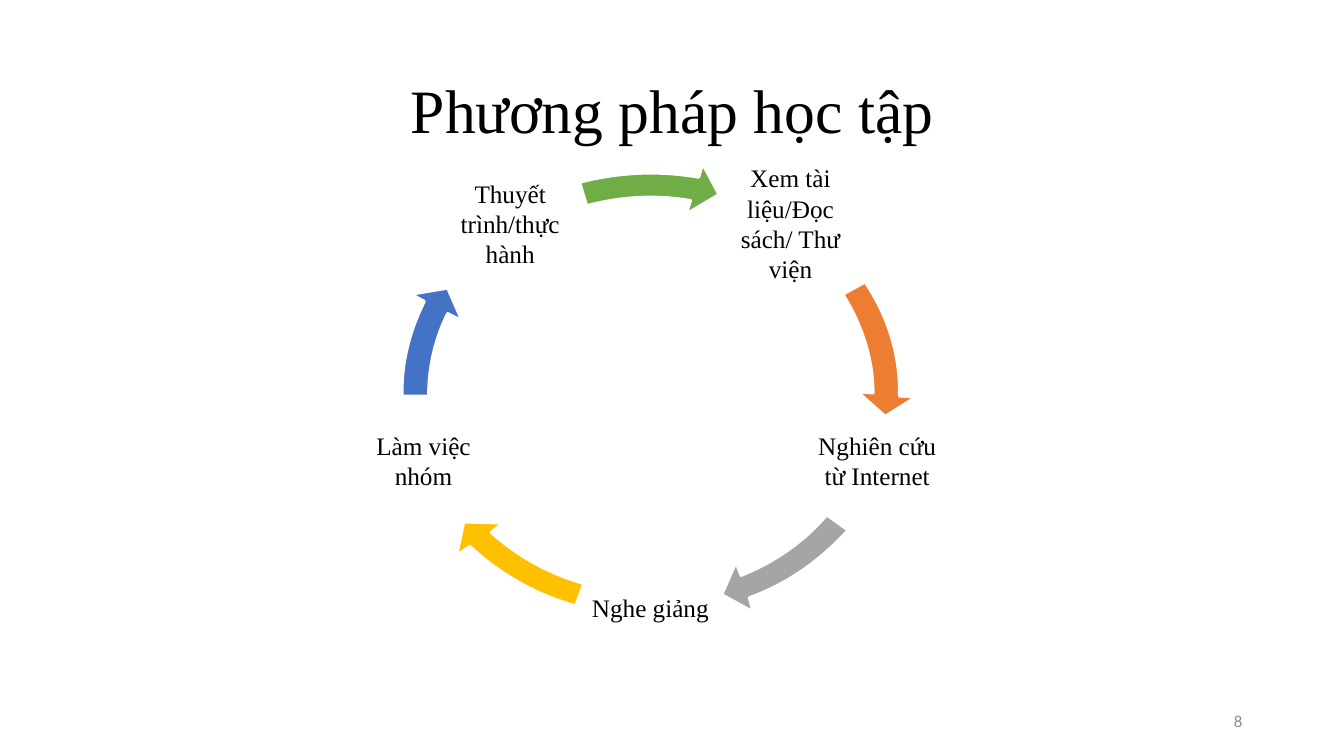
from dataclasses import dataclass

from lxml.etree import SubElement
from pptx import Presentation
from pptx.dml.color import RGBColor
from pptx.enum.text import MSO_ANCHOR as Anchor, PP_ALIGN as Align
from pptx.oxml.ns import qn
from pptx.util import Pt

PX = 9144  # EMU per px, 100 px to the inch
SLIDE_SIZE = (1333, 750)


@dataclass(frozen=True)
class Theme:
    serif: str = "Times New Roman"
    sans: str = "Calibri"
    ink: str = "000000"
    muted: str = "8C8C8C"
    paper: str = "FFFFFF"
    title_pt: int = 44
    step_pt: int = 18
    number_pt: int = 12
    outline_pt: int = 2


THEME = Theme()

TITLE = ("Phương pháp học tập", (92, 40, 1150, 145))
PAGE_NUMBER = ("8", (942, 695, 300, 40))

STEP_SIZE = (142, 127)
STEPS = [  # text, left, top
    ("Xem tài liệu/Đọc sách/ Thư viện", 713, 158),
    ("Nghiên cứu từ Internet", 799, 393),
    ("Nghe giảng", 574, 539),
    ("Làm việc nhóm", 349, 393),
    ("Thuyết trình/thực hành", 435, 158),
]

RING = (383, 158, 525, 467)  # left, top, width, height shared by all arrows
ARROWS = [  # colour, outer curve, head (barb, tip, barb), inner curve
    ("ED7D31", [(858, 280), (881, 314), (893, 353), (892, 393)],
     [(908, 394), (878, 413), (851, 389)],
     [(866, 390), (866, 356), (855, 322), (836, 292)]),
    ("A5A5A5", [(841, 526), (815, 555), (782, 579), (743, 593)],
     [(747, 607), (716, 590), (730, 558)],
     [(735, 571), (768, 558), (798, 537), (820, 511)]),
    ("FFC000", [(571, 601), (531, 590), (495, 569), (466, 542)],
     [(453, 551), (460, 518), (499, 519)],
     [(487, 528), (512, 551), (544, 569), (579, 579)]),
    ("4472C4", [(399, 393), (398, 361), (406, 329), (421, 299)],
     [(408, 292), (444, 286), (458, 318)],
     [(444, 311), (431, 337), (425, 365), (425, 393)]),
    ("70AD47", [(575, 181), (613, 171), (653, 169), (693, 176)],
     [(697, 163), (713, 193), (681, 212)],
     [(685, 199), (651, 193), (616, 195), (582, 204)]),
]


def add_text(slide, text, box, *, size, font=THEME.serif, color=THEME.ink,
             align=Align.CENTER, inset=(10, 5), line_spacing=None):
    frame = slide.shapes.add_textbox(*(v * PX for v in box)).text_frame
    frame.word_wrap = True
    frame.vertical_anchor = Anchor.MIDDLE
    frame.margin_left = frame.margin_right = inset[0] * PX
    frame.margin_top = frame.margin_bottom = inset[1] * PX
    paragraph = frame.paragraphs[0]
    paragraph.alignment = align
    if line_spacing:
        paragraph.line_spacing = line_spacing
    run = paragraph.add_run()
    run.text = text
    run.font.name = font
    run.font.size = Pt(size)
    run.font.color.rgb = RGBColor.from_string(color)


def add_arrow(slide, color, outer, head, inner):
    left, top, width, height = RING
    right, bottom = left + width, top + height
    builder = slide.shapes.build_freeform(left, top, scale=PX)
    builder.add_line_segments([(right, top), (right, bottom), (left, bottom)])
    arrow = builder.convert_to_shape()

    # The freeform builder has straight segments only: put curves in its frame.
    outline = next(arrow._element.iter(qn("a:path")))
    for segment in list(outline):
        outline.remove(segment)
    segments = [("moveTo", outer[:1]), ("cubicBezTo", outer[1:])]
    segments += [("lnTo", [point]) for point in head + inner[:1]]
    segments += [("cubicBezTo", inner[1:]), ("close", [])]
    for kind, points in segments:
        segment = SubElement(outline, qn(f"a:{kind}"))
        for x, y in points:
            SubElement(segment, qn("a:pt"), x=str(x - left), y=str(y - top))

    arrow.shadow.inherit = False
    arrow.fill.solid()
    arrow.fill.fore_color.rgb = RGBColor.from_string(color)
    arrow.line.color.rgb = RGBColor.from_string(THEME.paper)
    arrow.line.width = Pt(THEME.outline_pt)


def main():
    deck = Presentation()
    deck.slide_width, deck.slide_height = (v * PX for v in SLIDE_SIZE)
    slide = deck.slides.add_slide(deck.slide_layouts[6])

    add_text(slide, *TITLE, size=THEME.title_pt, line_spacing=0.9)
    add_text(slide, *PAGE_NUMBER, size=THEME.number_pt, font=THEME.sans,
             color=THEME.muted, align=Align.RIGHT)
    for (step, left, top), arrow in zip(STEPS, ARROWS):
        add_text(slide, step, (left, top, *STEP_SIZE), size=THEME.step_pt,
                 inset=(2, 2))
        add_arrow(slide, *arrow)

    deck.save("out.pptx")


if __name__ == "__main__":
    main()
